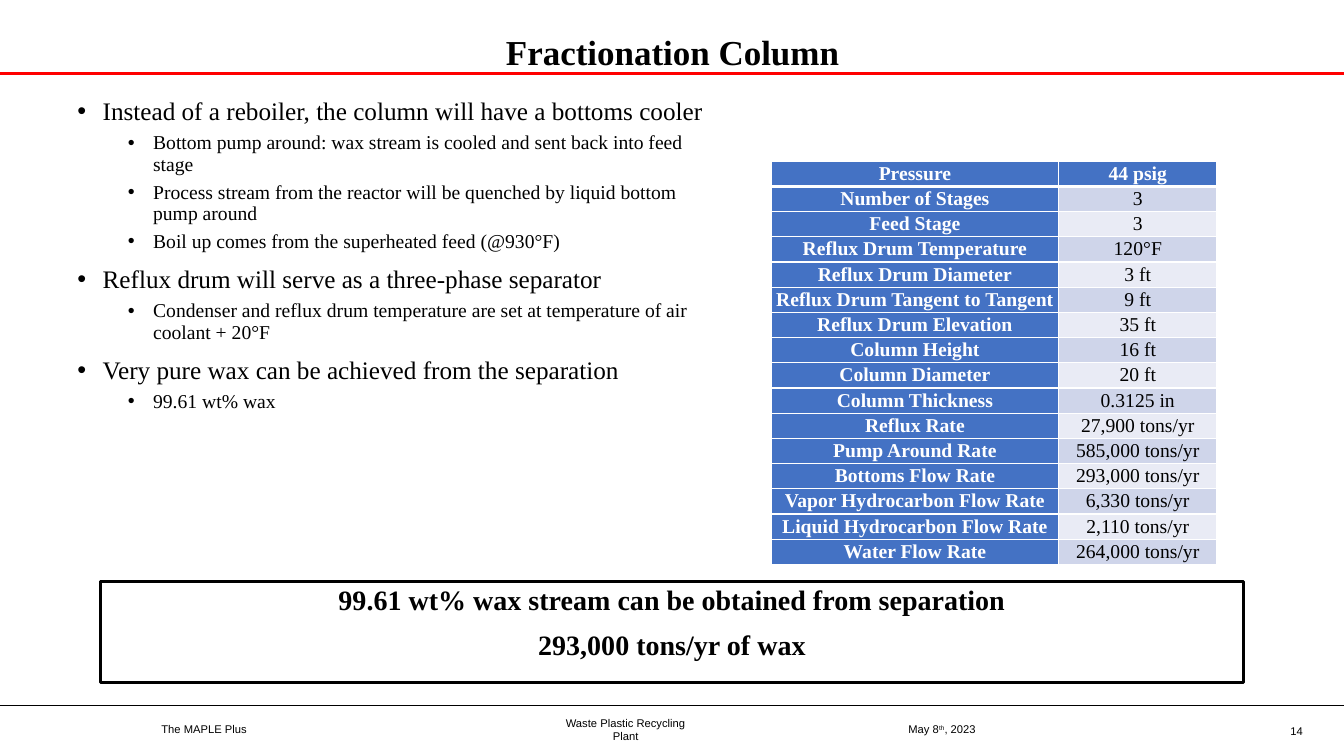
"""Build the Fractionation Column slide."""
from dataclasses import dataclass

from lxml.etree import SubElement
from pptx import Presentation
from pptx.dml.color import RGBColor
from pptx.enum.shapes import MSO_CONNECTOR, MSO_SHAPE
from pptx.enum.text import MSO_ANCHOR, MSO_AUTO_SIZE, PP_ALIGN
from pptx.oxml.ns import qn
from pptx.slide import Slide
from pptx.table import _Cell
from pptx.text.text import TextFrame, _Paragraph
from pptx.util import Inches, Pt

BLACK = RGBColor(0x00, 0x00, 0x00)
WHITE = RGBColor(0xFF, 0xFF, 0xFF)
RED = RGBColor(0xFF, 0x00, 0x00)
HEADER_BLUE = RGBColor(0x44, 0x72, 0xC4)
BAND_DARK = RGBColor(0xCF, 0xD5, 0xEA)
BAND_LIGHT = RGBColor(0xE9, 0xEB, 0xF5)
SERIF = "Times New Roman"
SANS = "Arial"
SLIDE_WIDTH = 13.33


@dataclass(frozen=True)
class Rule:
    top: float
    color: RGBColor
    weight: float


@dataclass(frozen=True)
class Point:
    text: str
    level: int = 0


@dataclass(frozen=True)
class LevelStyle:
    size: float
    indent: float
    before: float


@dataclass(frozen=True)
class FooterItem:
    left: float
    width: float
    pieces: tuple[str, ...]
    align: PP_ALIGN = PP_ALIGN.LEFT
    top: float = 7.03
    side_inset: float = 0


RULES = [Rule(7, BLACK, 1), Rule(0.73, RED, 2)]

LEVEL_STYLES = [LevelStyle(18, 0.25, 10), LevelStyle(14, 0.75, 5)]

POINTS = [
    Point("Instead of a reboiler, the column will have a bottoms cooler"),
    Point("Bottom pump around: wax stream is cooled and sent back into feed stage", 1),
    Point("Process stream from the reactor will be quenched by liquid bottom pump around", 1),
    Point("Boil up comes from the superheated feed (@930°F)", 1),
    Point("Reflux drum will serve as a three-phase separator"),
    Point("Condenser and reflux drum temperature are set at temperature of air coolant + 20°F", 1),
    Point("Very pure wax can be achieved from the separation"),
    Point("99.61 wt% wax", 1),
]

CONCLUSIONS = [
    "99.61 wt% wax stream can be obtained from separation",
    "293,000 tons/yr of wax",
]

COLUMN_DATA = [
    ("Pressure", "44 psig"),
    ("Number of Stages", "3"),
    ("Feed Stage", "3"),
    ("Reflux Drum Temperature", "120°F"),
    ("Reflux Drum Diameter", "3 ft"),
    ("Reflux Drum Tangent to Tangent", "9 ft"),
    ("Reflux Drum Elevation", "35 ft"),
    ("Column Height", "16 ft"),
    ("Column Diameter", "20 ft"),
    ("Column Thickness", "0.3125 in"),
    ("Reflux Rate", "27,900 tons/yr"),
    ("Pump Around Rate", "585,000 tons/yr"),
    ("Bottoms Flow Rate", "293,000 tons/yr"),
    ("Vapor Hydrocarbon Flow Rate", "6,330 tons/yr"),
    ("Liquid Hydrocarbon Flow Rate", "2,110 tons/yr"),
    ("Water Flow Rate", "264,000 tons/yr"),
]

FOOTER = [
    FooterItem(1.6, 1.05, ("The MAPLE Plus",)),
    FooterItem(5.5, 1.41, ("Waste Plastic Recycling Plant",), PP_ALIGN.CENTER),
    FooterItem(9.01, 0.96, ("May 8", "th", ", 2023")),
    FooterItem(12.31, 0.71, ("14",), PP_ALIGN.RIGHT, 7.05, 0.1),
]


def set_font(paragraph: _Paragraph, name: str, size: float,
             color: RGBColor = BLACK, bold: bool = False) -> None:
    paragraph.font.name = name
    paragraph.font.size = Pt(size)
    paragraph.font.bold = bold
    paragraph.font.color.rgb = color


def next_paragraph(frame: TextFrame, index: int) -> _Paragraph:
    return frame.add_paragraph() if index else frame.paragraphs[0]


def add_rule(slide: Slide, rule: Rule) -> None:
    line = slide.shapes.add_connector(
        MSO_CONNECTOR.STRAIGHT, 0, Inches(rule.top), Inches(SLIDE_WIDTH), Inches(rule.top))
    line.line.color.rgb = rule.color
    line.line.width = Pt(rule.weight)
    SubElement(line._element.spPr, qn("a:effectLst"))


def format_title(slide: Slide, text: str) -> None:
    title = slide.shapes.title
    title.left, title.top = Inches(0.92), Inches(0.34)
    title.width, title.height = Inches(11.5), Inches(0.4)
    frame = title.text_frame
    frame.text = text
    frame.auto_size = MSO_AUTO_SIZE.NONE
    frame.vertical_anchor = MSO_ANCHOR.MIDDLE
    heading = frame.paragraphs[0]
    heading.alignment = PP_ALIGN.CENTER
    heading.line_spacing = 0.9
    set_font(heading, SERIF, 25, bold=True)


def add_points(slide: Slide) -> None:
    frame = slide.shapes.add_textbox(
        Inches(0.67), Inches(0.93), Inches(6.62), Inches(6)).text_frame
    frame.word_wrap = True
    for index, point in enumerate(POINTS):
        style = LEVEL_STYLES[point.level]
        paragraph = next_paragraph(frame, index)
        paragraph.text = point.text
        paragraph.level = point.level
        paragraph.line_spacing = 0.9
        if index:
            paragraph.space_before = Pt(style.before)
        properties = paragraph._p.get_or_add_pPr()
        properties.set("marL", str(Inches(style.indent)))
        properties.set("indent", str(Inches(-0.25)))
        SubElement(properties, qn("a:buFont"), typeface=SANS)
        SubElement(properties, qn("a:buChar"), char="•")
        set_font(paragraph, SERIF, style.size)


def add_conclusion(slide: Slide) -> None:
    callout = slide.shapes.add_shape(
        MSO_SHAPE.RECTANGLE, Inches(1), Inches(5.77), Inches(11.33), Inches(1))
    callout.shadow.inherit = False
    callout.fill.background()
    callout.line.color.rgb = BLACK
    callout.line.width = Pt(2)
    frame = callout.text_frame
    frame.word_wrap = True
    frame.vertical_anchor = MSO_ANCHOR.TOP
    for index, text in enumerate(CONCLUSIONS):
        paragraph = next_paragraph(frame, index)
        paragraph.text = text
        paragraph.alignment = PP_ALIGN.CENTER
        paragraph.line_spacing = 0.9
        if index:
            paragraph.space_before = Pt(10)
        set_font(paragraph, SERIF, 20, bold=True)


def add_borders(cell: _Cell, row: int) -> None:
    weights = {"L": 1, "R": 1, "T": 3 if row == 1 else 1, "B": 3 if row == 0 else 1}
    for side, weight in weights.items():
        border = SubElement(cell._tc.get_or_add_tcPr(), qn(f"a:ln{side}"), w=str(Pt(weight)))
        SubElement(SubElement(border, qn("a:solidFill")), qn("a:srgbClr"), val=str(WHITE))


def add_column_table(slide: Slide) -> None:
    row_height = Inches(0.23)
    table = slide.shapes.add_table(
        len(COLUMN_DATA), 2, Inches(7.65), Inches(1.6), Inches(4.42),
        row_height * len(COLUMN_DATA)).table
    table.columns[0].width, table.columns[1].width = Inches(2.85), Inches(1.57)
    for row, entry in enumerate(COLUMN_DATA):
        for column, text in enumerate(entry):
            heading = row == 0 or column == 0
            cell = table.cell(row, column)
            cell.margin_left = cell.margin_right = Inches(0.03)
            cell.margin_top = cell.margin_bottom = 0
            add_borders(cell, row)
            cell.fill.solid()
            band = BAND_DARK if row % 2 else BAND_LIGHT
            cell.fill.fore_color.rgb = HEADER_BLUE if heading else band
            cell.text = text
            paragraph = cell.text_frame.paragraphs[0]
            paragraph.alignment = PP_ALIGN.CENTER
            paragraph.line_spacing = 1.07
            set_font(paragraph, SERIF, 14, WHITE if heading else BLACK, heading)


def add_footer_item(slide: Slide, item: FooterItem) -> None:
    frame = slide.shapes.add_textbox(
        Inches(item.left), Inches(item.top), Inches(item.width), Inches(0.41)).text_frame
    frame.word_wrap = True
    frame.vertical_anchor = MSO_ANCHOR.MIDDLE
    frame.margin_left = frame.margin_right = Inches(item.side_inset)
    frame.margin_top = frame.margin_bottom = 0
    paragraph = frame.paragraphs[0]
    paragraph.alignment = item.align
    set_font(paragraph, SANS, 8)
    for piece in item.pieces:
        run = paragraph.add_run()
        run.text = piece
        if piece == "th":
            run._r.get_or_add_rPr().set("baseline", "30000")


def main() -> None:
    presentation = Presentation()
    presentation.slide_width = Inches(SLIDE_WIDTH)
    presentation.slide_height = Inches(7.5)
    slide = presentation.slides.add_slide(presentation.slide_layouts[5])
    for rule in RULES:
        add_rule(slide, rule)
    format_title(slide, "Fractionation Column")
    add_points(slide)
    add_conclusion(slide)
    add_column_table(slide)
    for item in FOOTER:
        add_footer_item(slide, item)
    presentation.save("out.pptx")


if __name__ == "__main__":
    main()
